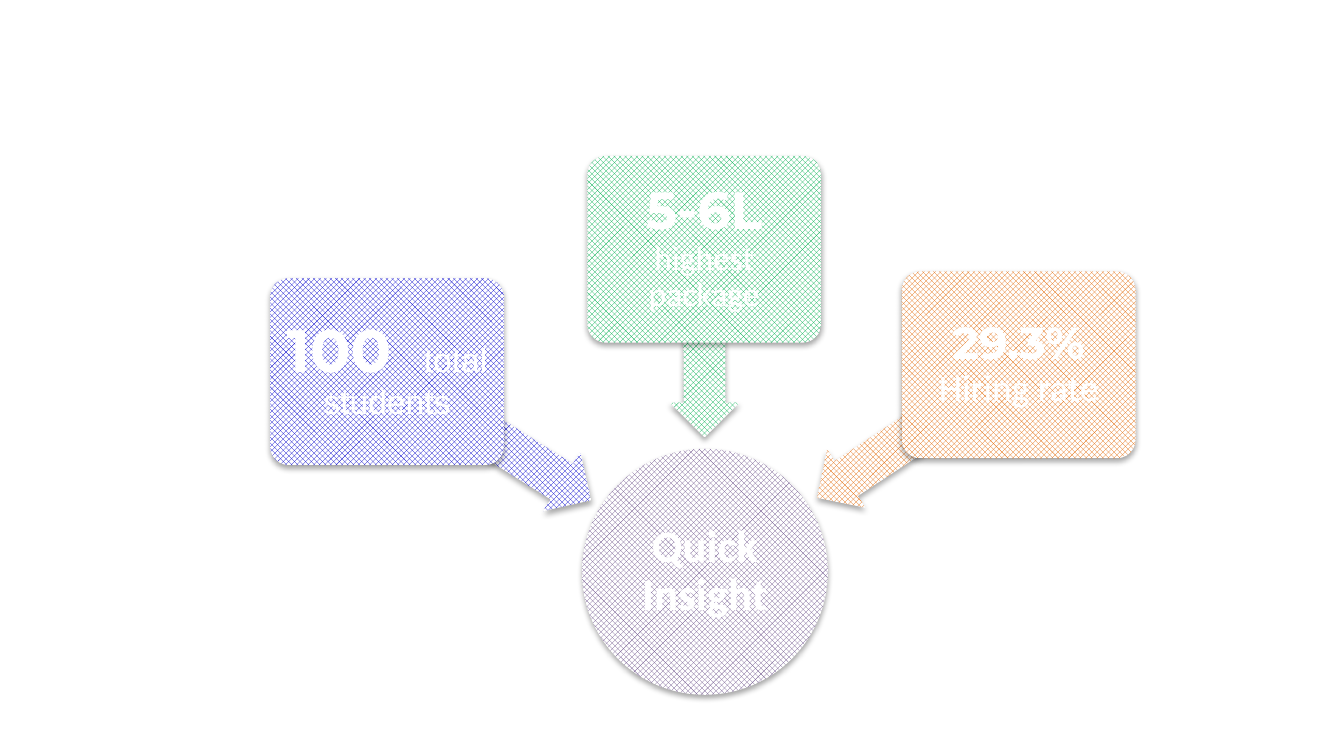
import math
from dataclasses import dataclass

import lxml.etree
import pptx
import pptx.dml.color
import pptx.enum.dml
import pptx.enum.shapes
import pptx.enum.text
import pptx.oxml.ns
import pptx.util

Inches = pptx.util.Inches
Shape = pptx.enum.shapes.MSO_SHAPE


@dataclass(frozen=True)
class Theme:
    white: str = "FFFFFF"
    black: str = "000000"
    purple: str = "70568D"
    blue: str = "0000CC"
    green: str = "00B050"
    orange: str = "E46C0A"
    huge: int = 32
    large: int = 28
    head: int = 24
    mid: int = 20
    small: int = 18
    display: str = "Montserrat"
    body: str = "Calibri"
    plain: str = "Arial"


@dataclass(frozen=True)
class Run:
    text: str
    size: int
    font: str
    bold: bool = False
    track: float = 0  # extra letter spacing in points


@dataclass(frozen=True)
class Card:
    left: float
    top: float
    color: str
    inset: float
    runs: tuple[Run, ...]


THEME = Theme()
WIDTH = 10
HEIGHT = WIDTH * 9 / 16
HUB_LEFT, HUB_TOP, HUB_SIZE = 4.33, 3.34, 1.83
CARD_W, CARD_H = 1.74, 1.39
ARROW_H, TIP_GAP = 0.52, 1.0

CARDS = (
    Card(2.01, 2.07, THEME.blue, 0.07, (
        Run("100", THEME.huge, THEME.display, True),
        Run(" ", THEME.huge, THEME.display, True, track=8.4),
        Run("total students", THEME.small, THEME.plain))),
    Card(4.37, 1.16, THEME.green, 0.06, (
        Run("5-6L", THEME.large, THEME.display, True),
        Run(" ", THEME.head, THEME.body),
        Run("highest package", THEME.small, THEME.body))),
    Card(6.71, 2.02, THEME.orange, 0.05, (
        Run("29.3% ", THEME.head, THEME.display, True),
        Run("Hiring rate", THEME.mid, THEME.body))),
)


def rgb(code: str) -> pptx.dml.color.RGBColor:
    return pptx.dml.color.RGBColor.from_string(code)


def shade(shape) -> None:
    """Give the shape a soft shadow that falls straight down."""
    shape.shadow.inherit = False
    qn = pptx.oxml.ns.qn
    effects = shape._element.spPr.find(qn("a:effectLst"))
    shadow = lxml.etree.SubElement(
        effects, qn("a:outerShdw"), blurRad="40000", dist="23000",
        dir="5400000", rotWithShape="0")
    color = lxml.etree.SubElement(shadow, qn("a:srgbClr"), val=THEME.black)
    lxml.etree.SubElement(color, qn("a:alpha"), val="35000")


def draw(shapes, kind, left: float, top: float, w: float, h: float,
         color: str):
    """Draw a trellis-filled shape."""
    shape = shapes.add_shape(kind, Inches(left), Inches(top),
                             Inches(w), Inches(h))
    shape.fill.patterned()
    shape.fill.pattern = pptx.enum.dml.MSO_PATTERN.TRELLIS
    shape.fill.fore_color.rgb = rgb(color)
    shape.fill.back_color.rgb = rgb(THEME.white)
    shape.line.fill.background()
    shade(shape)
    return shape


def write(para, text: str, *, size: int, font: str, bold: bool = False,
          track: float = 0) -> None:
    run = para.add_run()
    run.text = text
    run.font.size = pptx.util.Pt(size)
    run.font.name = font
    run.font.bold = bold
    run.font.color.rgb = rgb(THEME.white)
    if track:
        run.font._element.set("spc", str(round(track * 100)))


def label(shape, runs: tuple[Run, ...], inset: float) -> None:
    frame = shape.text_frame
    frame.word_wrap = True
    frame.vertical_anchor = pptx.enum.text.MSO_ANCHOR.MIDDLE
    frame.margin_left = frame.margin_right = Inches(inset)
    frame.margin_top = frame.margin_bottom = Inches(inset)
    para = frame.paragraphs[0]
    para.alignment = pptx.enum.text.PP_ALIGN.CENTER
    para.line_spacing = 0.9
    for run in runs:
        write(para, run.text, size=run.size, font=run.font, bold=run.bold,
              track=run.track)


def point(shapes, card: Card) -> None:
    """Draw an arrow from the card's centre towards the hub's centre."""
    x, y = card.left + CARD_W / 2, card.top + CARD_H / 2
    dx = HUB_LEFT + HUB_SIZE / 2 - x
    dy = HUB_TOP + HUB_SIZE / 2 - y
    dist = math.hypot(dx, dy)
    length = dist - TIP_GAP
    part = length / dist / 2
    arrow = draw(shapes, Shape.LEFT_ARROW, x + dx * part - length / 2,
                 y + dy * part - ARROW_H / 2, length, ARROW_H, card.color)
    arrow.adjustments[0] = 0.6
    arrow.adjustments[1] = 0.5
    arrow.rotation = math.degrees(math.atan2(dy, dx)) + 180


def place(shapes, card: Card) -> None:
    box = draw(shapes, Shape.ROUNDED_RECTANGLE, card.left, card.top,
               CARD_W, CARD_H, card.color)
    box.adjustments[0] = 0.1
    label(box, card.runs, card.inset)


def main() -> None:
    deck = pptx.Presentation()
    deck.slide_width, deck.slide_height = Inches(WIDTH), Inches(HEIGHT)
    slide = deck.slides.add_slide(deck.slide_layouts[6])
    shapes = slide.shapes.add_group_shape().shapes

    # Hub
    hub = draw(shapes, Shape.OVAL, HUB_LEFT, HUB_TOP, HUB_SIZE, HUB_SIZE,
               THEME.purple)
    label(hub, (Run("Quick Insight", THEME.head, THEME.body, True),), 0.02)

    # Cards, each over its arrow
    for card in CARDS:
        point(shapes, card)
        place(shapes, card)

    deck.save("out.pptx")


if __name__ == "__main__":
    main()
